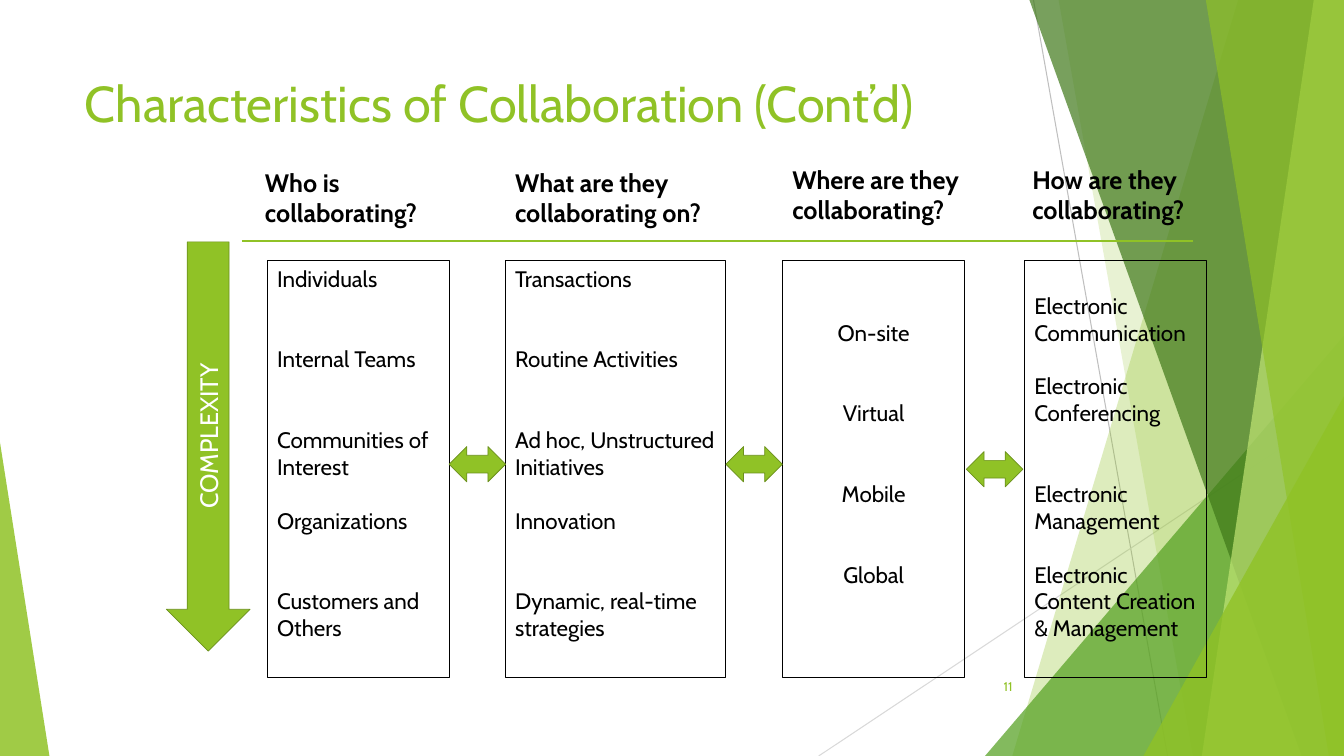
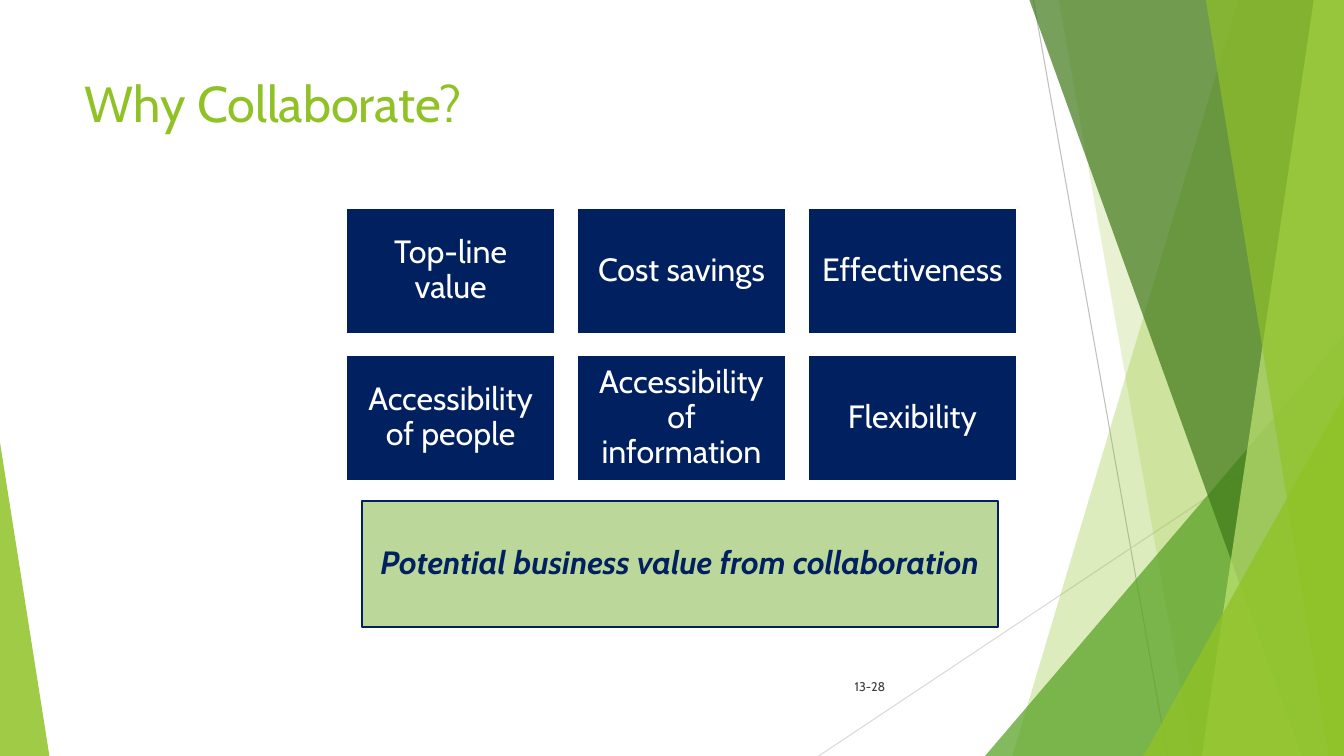
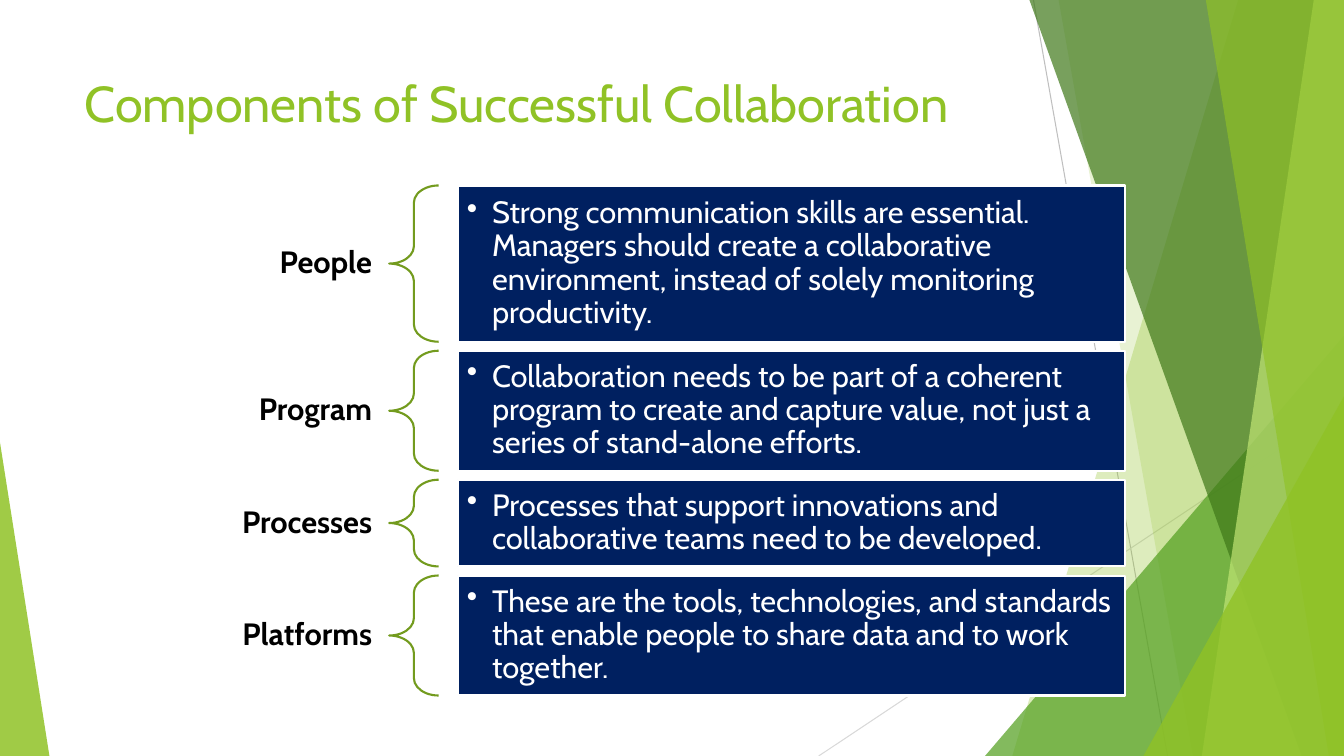
from dataclasses import dataclass

from lxml import etree
from pptx import Presentation
from pptx.dml.color import RGBColor
from pptx.enum.shapes import MSO_CONNECTOR, MSO_SHAPE
from pptx.enum.text import MSO_ANCHOR, PP_ALIGN
from pptx.oxml.ns import qn
from pptx.util import Inches, Pt

LEFT, CENTER, RIGHT = PP_ALIGN.LEFT, PP_ALIGN.CENTER, PP_ALIGN.RIGHT
TOP, MIDDLE = MSO_ANCHOR.TOP, MSO_ANCHOR.MIDDLE
RECTANGLE, TRIANGLE = MSO_SHAPE.RECTANGLE, MSO_SHAPE.ISOSCELES_TRIANGLE
DOWN_ARROW, DOUBLE_ARROW = MSO_SHAPE.DOWN_ARROW, MSO_SHAPE.LEFT_RIGHT_ARROW
LEFT_BRACE, STRAIGHT = MSO_SHAPE.LEFT_BRACE, MSO_CONNECTOR.STRAIGHT


@dataclass(frozen=True)
class Theme:
    font: str = "Cabin"
    green: str = "90C226"
    mid_green: str = "54A021"
    dark_green: str = "3F7819"
    light_green: str = "C0E474"
    pale_green: str = "BBD79A"
    arrow_edge: str = "6B901C"
    brace: str = "739B1E"
    navy: str = "002060"
    black: str = "000000"
    white: str = "FFFFFF"
    gray: str = "3F3F3F"
    rule_dark: str = "BFBFBF"
    rule_light: str = "D9D9D9"
    title_size: int = 36
    tile_size: int = 23
    component_size: int = 22
    heading_size: int = 18
    column_size: int = 16
    number_size: int = 9


THEME = Theme()
WIDTH, HEIGHT = 13.33, 7.5

# Background: hairlines, then facets from back to front
HAIRLINES = [
    ((10.25, 0), (11.58, HEIGHT), THEME.rule_dark),
    ((WIDTH, 4.03), (8.12, HEIGHT), THEME.rule_light),
]
# Bands: top left, bottom left; triangles: left, top, apex position
FACETS = [
    ("band", (12.28, 10.04), THEME.green, 30),
    ("band", (10.5, 11.83), THEME.green, 20),
    ("triangle", (9.77, 3.33, 3.56, 1), THEME.mid_green, 72),
    ("band", (10.21, 12.91), THEME.dark_green, 70),
    ("band", (13.03, 11.92), THEME.light_green, 70),
    ("band", (11.96, 13.18), THEME.green, 65),
    ("triangle", (11.34, 3.93, 1.99, 1), THEME.green, 80),
    ("triangle", (0, 4.39, 0.49, 0), THEME.green, 85),
]

# Slide 1: each item is (empty lines above, text)
COLUMNS = [
    dict(heading="Who is collaborating?", heading_box=(2.53, 1.61, 1.93),
         left=2.65, width=1.81, align=LEFT,
         items=[(0, "Individuals"), (2, "Internal Teams"),
                (2, "Communities of Interest"), (1, "Organizations"),
                (2, "Customers and Others")]),
    dict(heading="What are they collaborating on?", heading_box=(5.01, 1.61, 2.08),
         left=5.01, width=2.19, align=LEFT,
         items=[(0, "Transactions"), (2, "Routine Activities"),
                (2, "Ad hoc, Unstructured Initiatives"), (1, "Innovation"),
                (2, "Dynamic, real-time strategies")]),
    dict(heading="Where are they collaborating?", heading_box=(7.76, 1.58, 1.93),
         left=7.76, width=1.81, align=CENTER,
         items=[(2, "On-site"), (2, "Virtual"), (2, "Mobile"), (2, "Global")]),
    dict(heading="How are they collaborating?", heading_box=(10.14, 1.58, 1.93),
         left=10.16, width=1.81, align=LEFT,
         items=[(1, "Electronic Communication"), (1, "Electronic Conferencing"),
                (2, "Electronic Management"),
                (1, "Electronic Content Creation & Management")]),
]
ARROW_TOPS = [4.43, 4.43, 4.48]
LINE_POINTS = 19.2

# Slide 2: three tiles to a row
TILES = ["Top-line value", "Cost savings", "Effectiveness",
         "Accessibility of people", "Accessibility of information", "Flexibility"]
TILE_SUMMARY = "Potential business value from collaboration"

# Slide 3: name, explanation, height
COMPONENTS = [
    ("People", "Strong communication skills are essential. Managers should create a "
     "collaborative environment, instead of solely monitoring productivity.", 1.55),
    ("Program", "Collaboration needs to be part of a coherent program to create and "
     "capture value, not just a series of stand-alone efforts.", 1.19),
    ("Processes", "Processes that support innovations and collaborative teams need "
     "to be developed.", 0.86),
    ("Platforms", "These are the tools, technologies, and standards that enable "
     "people to share data and to work together.", 1.19),
]


def rgb(color):
    return RGBColor.from_string(color)


def paint(shape, fill=None, line=None, line_width=0.75, opacity=None):
    shape.shadow.inherit = False
    if fill:
        shape.fill.solid()
        shape.fill.fore_color.rgb = rgb(fill)
    else:
        shape.fill.background()
    if opacity is not None:
        color = next(shape.element.iter(qn("a:srgbClr")))
        etree.SubElement(color, qn("a:alpha")).set("val", str(opacity * 1000))
    if line:
        shape.line.color.rgb = rgb(line)
        shape.line.width = Pt(line_width)
    else:
        shape.line.fill.background()


def add_shape(slide, kind, box, **look):
    shape = slide.shapes.add_shape(kind, *map(Inches, box))
    paint(shape, **look)
    return shape


def add_line(slide, start, end, color, width):
    line = slide.shapes.add_connector(STRAIGHT, *map(Inches, start + end))
    line.line.color.rgb = rgb(color)
    line.line.width = Pt(width)
    etree.SubElement(line.element.spPr, qn("a:effectLst"))


def write(shape, text, size, color, align=LEFT, anchor=TOP, insets=(0.1, 0.05),
          spacing=None, bold=False, italic=False):
    frame = shape.text_frame
    frame.word_wrap = True
    frame.vertical_anchor = anchor
    frame.margin_left = frame.margin_right = Inches(insets[0])
    frame.margin_top = frame.margin_bottom = Inches(insets[1])
    frame.text = text
    for paragraph in frame.paragraphs:
        paragraph.alignment = align
        if spacing:
            paragraph.line_spacing = spacing
        for run in paragraph.runs:
            font = run.font
            font.name, font.size = THEME.font, Pt(size)
            font.color.rgb = rgb(color)
            font.bold, font.italic = bold, italic


def add_text(slide, box, text, size, color, **style):
    write(slide.shapes.add_textbox(*map(Inches, box)), text, size, color, **style)


def add_bullet(shape, indent):
    for properties in shape.element.iter(qn("a:pPr")):
        properties.set("marL", str(Inches(indent)))
        properties.set("indent", str(-Inches(indent)))
        etree.SubElement(properties, qn("a:buChar")).set("char", "•")


def add_titled_slide(presentation, layout, title):
    slide = presentation.slides.add_slide(layout)
    write(slide.shapes.title, title, THEME.title_size, THEME.green)
    return slide


def add_number(slide, left, width, text, color):
    add_text(slide, (left, 6.61, width, 0.4), text, THEME.number_size, color,
             align=RIGHT, anchor=MIDDLE)


def draw_background(slide, layout):
    """Draw the facets and move them to the layout, which all slides share."""
    for start, end, color in HAIRLINES:
        add_line(slide, start, end, color, 0.75)
    for kind, place, color, opacity in FACETS:
        if kind == "band":
            top_left, bottom_left = place
            corners = [(top_left, 0), (WIDTH, 0), (WIDTH, HEIGHT), (bottom_left, HEIGHT)]
            points = [(Inches(x), Inches(y)) for x, y in corners]
            builder = slide.shapes.build_freeform(*points[0])
            builder.add_line_segments(points[1:], close=True)
            paint(builder.convert_to_shape(), fill=color, opacity=opacity)
        else:
            left, top, width, apex = place
            triangle = add_shape(slide, TRIANGLE, (left, top, width, HEIGHT - top),
                                 fill=color, opacity=opacity)
            triangle.adjustments[0] = apex
    drawn = [shape for shape in slide.shapes if not shape.is_placeholder]
    for index, shape in enumerate(drawn):
        shape.element.xpath("./*/p:cNvPr")[0].set("id", str(100 + index))
        layout.shapes.element.insert(2 + index, shape.element)


def draw_characteristics(slide):
    add_number(slide, 9.39, 0.75, "11", THEME.green)
    add_line(slide, (2.4, 2.39), (11.83, 2.39), THEME.green, 1)

    # Complexity arrow
    arrow = add_shape(slide, DOWN_ARROW, (1.65, 2.4, 0.83, 4.06),
                      fill=THEME.green, line=THEME.arrow_edge, line_width=0.5)
    write(arrow, "COMPLEXITY", THEME.heading_size, THEME.white,
          align=CENTER, anchor=MIDDLE)
    next(arrow.element.iter(qn("a:bodyPr"))).set("vert", "vert270")

    # Columns with headings
    for column in COLUMNS:
        gaps, texts = zip(*column["items"])
        box = add_shape(slide, RECTANGLE, (column["left"], 2.58, column["width"], 4.14),
                        line=THEME.black)
        write(box, "\n".join(texts), THEME.column_size, THEME.black,
              align=column["align"])
        box.text_frame.margin_top = Inches(0.05) + Pt(gaps[0] * LINE_POINTS)
        for paragraph, gap in zip(box.text_frame.paragraphs[1:], gaps[1:]):
            paragraph.space_before = Pt(gap * LINE_POINTS)
        add_text(slide, column["heading_box"] + (0.71,), column["heading"],
                 THEME.heading_size, THEME.black, bold=True)

    # Double arrows centred in the gaps between columns
    arrow_width = 0.56
    for before, after, top in zip(COLUMNS, COLUMNS[1:], ARROW_TOPS):
        middle = (before["left"] + before["width"] + after["left"]) / 2
        add_shape(slide, DOUBLE_ARROW, (middle - arrow_width / 2, top, arrow_width, 0.35),
                  fill=THEME.green, line=THEME.arrow_edge, line_width=0.5)


def draw_reasons(slide):
    add_number(slide, 7.88, 1, "13-28", THEME.gray)
    tile_style = dict(align=CENTER, anchor=MIDDLE, insets=(0.1, 0.1), spacing=0.9)
    for index, text in enumerate(TILES):
        row, column = divmod(index, 3)
        tile = add_shape(slide, RECTANGLE,
                         (3.43 + 2.29 * column, 2.06 + 1.46 * row, 2.08, 1.25),
                         fill=THEME.navy, line=THEME.white, line_width=1.5)
        write(tile, text, THEME.tile_size, THEME.white, **tile_style)
    summary = add_shape(slide, RECTANGLE, (3.59, 4.97, 6.31, 1.25),
                        fill=THEME.pale_green, line=THEME.navy, line_width=1.5)
    write(summary, TILE_SUMMARY, THEME.tile_size, THEME.navy,
          bold=True, italic=True, **tile_style)


def draw_components(slide):
    top, gap, label_height = 1.84, 0.09, 0.48
    for name, explanation, height in COMPONENTS:
        label_top = top + (height - label_height) / 2
        add_text(slide, (1.42, label_top, 2.44, label_height), name,
                 THEME.component_size, THEME.black, align=RIGHT, anchor=MIDDLE,
                 insets=(0.17, 0.06), spacing=0.9, bold=True)
        brace = add_shape(slide, LEFT_BRACE, (3.86, top, 0.49, height),
                          line=THEME.brace, line_width=1.5)
        brace.adjustments[0] = 0.35
        panel = add_shape(slide, RECTANGLE, (4.54, top, 6.62, height),
                          fill=THEME.navy, line=THEME.white, line_width=1.5)
        write(panel, explanation, THEME.component_size, THEME.white,
              anchor=MIDDLE, insets=(0.09, 0.09), spacing=0.9)
        add_bullet(panel, 0.25)
        top += height + gap


SLIDES = [
    ("Characteristics of Collaboration (Cont’d)", draw_characteristics),
    ("Why Collaborate?", draw_reasons),
    ("Components of Successful Collaboration", draw_components),
]


def main():
    presentation = Presentation()
    presentation.slide_width, presentation.slide_height = Inches(WIDTH), Inches(HEIGHT)
    layout = presentation.slide_layouts[5]
    title = layout.placeholders[0]
    title.left, title.top, title.width, title.height = map(Inches, (0.74, 0.67, 9.4, 1.44))

    for index, (heading, draw) in enumerate(SLIDES):
        slide = add_titled_slide(presentation, layout, heading)
        if index == 0:
            draw_background(slide, layout)
        draw(slide)
    presentation.save("out.pptx")


if __name__ == "__main__":
    main()
